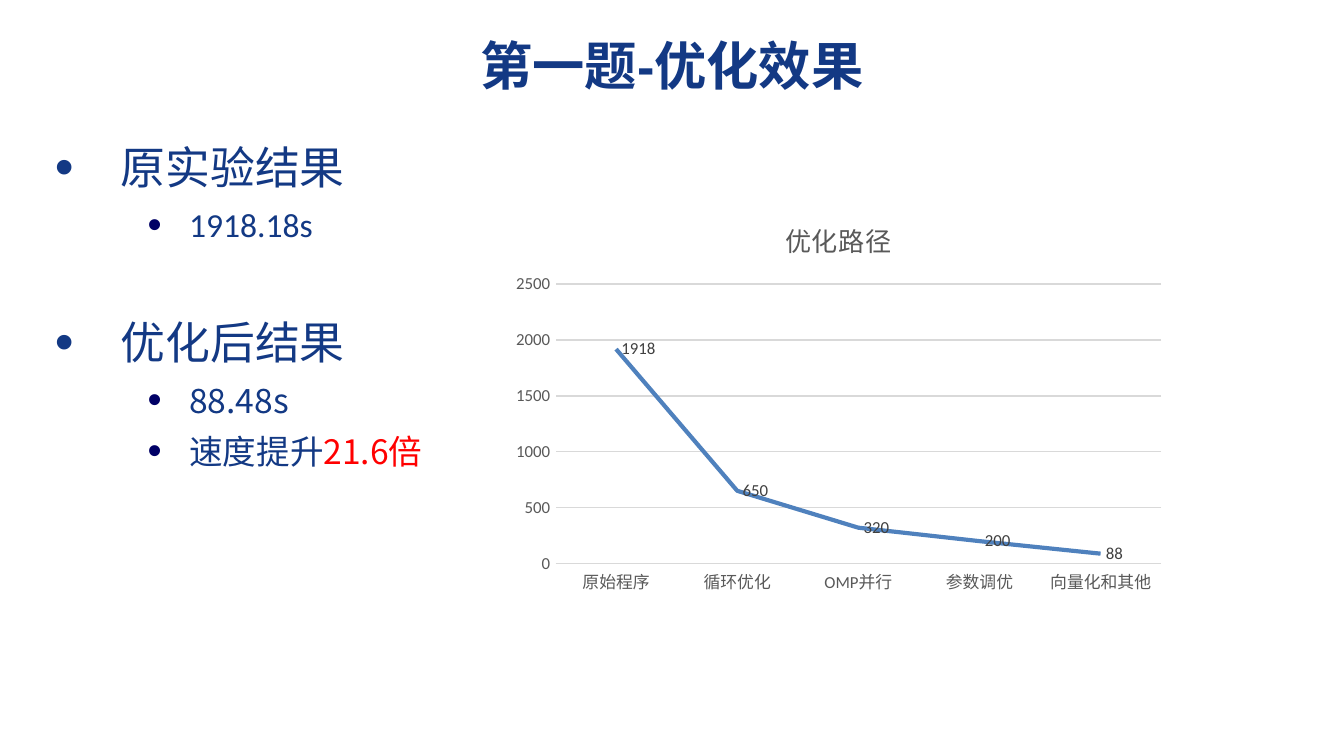
from pptx import Presentation
from pptx.chart.data import CategoryChartData as ChartData
from pptx.dml.color import RGBColor
from pptx.enum.chart import XL_CHART_TYPE as ChartType
from pptx.enum.chart import XL_LABEL_POSITION as LabelPos
from pptx.enum.chart import XL_TICK_MARK as Tick
from pptx.enum.text import PP_ALIGN as Align
from pptx.oxml.ns import qn
from pptx.util import Inches, Pt
from lxml.etree import SubElement

NAVY = RGBColor(0x13, 0x39, 0x84)
BULLET_NAVY = RGBColor(0x00, 0x00, 0x66)
RED = RGBColor(0xFF, 0x00, 0x00)
LINE_BLUE = RGBColor(0x4F, 0x81, 0xBD)
GRID_GREY = RGBColor(0xD9, 0xD9, 0xD9)
AXIS_GREY = RGBColor(0x59, 0x59, 0x59)
LABEL_GREY = RGBColor(0x40, 0x40, 0x40)
BLACK = RGBColor(0, 0, 0)
CJK, LATIN = "Noto Sans CJK SC", "Calibri"


def style(font, size, color, name=LATIN, bold=False):
    """Set the size, colour, face and weight of a font."""
    font.size, font.name, font.bold = Pt(size), name, bold
    font.color.rgb = color


def add_text(paragraph, text, size=18, color=NAVY, name=CJK, bold=False):
    """Add one formatted run, with a CJK face for Chinese glyphs."""
    run = paragraph.add_run()
    run.text = text
    style(run.font, size, color, name, bold)
    SubElement(run._r.get_or_add_rPr(), qn("a:ea"), typeface=CJK)


def add_bullet(paragraph, margin, indent, color):
    """Give a paragraph a round bullet and a hanging indent."""
    props = paragraph._p.get_or_add_pPr()
    props.set("marL", str(Inches(margin)))
    props.set("indent", str(Inches(indent)))
    fill = SubElement(props, qn("a:buClr"))
    SubElement(fill, qn("a:srgbClr"), val=str(color))
    SubElement(props, qn("a:buSzPct"), val="120000")
    SubElement(props, qn("a:buFont"), typeface="Arial")
    SubElement(props, qn("a:buChar"), char="•")


def add_title(slide, left, top, width, height):
    """Place the centred slide heading."""
    frame = slide.shapes.add_textbox(left, top, width, height).text_frame
    frame.word_wrap = True
    frame.margin_top = Inches(0.05)
    heading = frame.paragraphs[0]
    heading.alignment = Align.CENTER
    add_text(heading, "第一题-优化效果", size=28, name="Arial", bold=True)


def add_results(slide, left, top, width, height):
    """Place the two-level list of timing results."""
    frame = slide.shapes.add_textbox(left, top, width, height).text_frame
    frame.word_wrap = True
    results = [
        (0, 4.8, [("原实验结果", {"size": 24})]),
        (1, 3.6, [("1918.18s", {"name": LATIN})]),
        (0, 35, [("优化后结果", {"size": 24})]),
        (1, 3.6, [("88.48s", {})]),
        (1, 3.6, [("速度提升", {}), ("21.6倍", {"color": RED})]),
    ]
    bullets = [(0.49, -0.49, NAVY), (1, -0.31, BULLET_NAVY)]
    for index, (level, gap, parts) in enumerate(results):
        item = frame.add_paragraph() if index else frame.paragraphs[0]
        item.level = level
        item.line_spacing = 1.1
        item.space_before = Pt(gap)
        add_bullet(item, *bullets[level])
        for text, look in parts:
            add_text(item, text, **look)


def style_axis(axis):
    """Apply the tick and label look shared by both axes."""
    axis.major_tick_mark = axis.minor_tick_mark = Tick.NONE
    style(axis.tick_labels.font, 9, AXIS_GREY)


def add_path_chart(slide, left, top, width, height):
    """Place the line chart of run time after each optimisation."""
    data = ChartData()
    data.categories = ["原始程序", "循环优化", "OMP并行", "参数调优", "向量化和其他"]
    data.add_series("Series 1", (1918, 650, 320, 200, 88))
    chart = slide.shapes.add_chart(
        ChartType.LINE, left, top, width, height, data).chart
    style(chart.font, 10, BLACK)
    chart.has_legend = False
    chart.has_title = True
    add_text(chart.chart_title.text_frame.paragraphs[0], "优化路径",
             size=14, color=AXIS_GREY, name=LATIN)
    chart.chart_title.include_in_layout = False

    steps, seconds = chart.category_axis, chart.value_axis
    style_axis(steps)
    style_axis(seconds)
    steps.format.line.color.rgb = GRID_GREY
    steps.format.line.width = Pt(0.75)
    seconds.format.line.fill.background()
    seconds.minimum_scale, seconds.maximum_scale = 0, 2500
    seconds.major_unit = 500
    grid = seconds.major_gridlines.format.line
    grid.color.rgb, grid.width = GRID_GREY, Pt(0.75)

    plot = chart.plots[0]
    plot.vary_by_categories = False
    times = plot.series[0]
    times.smooth = False
    times.format.line.color.rgb = LINE_BLUE
    times.format.line.width = Pt(2.25)
    labels = times.data_labels
    labels.show_value = True
    labels.position = LabelPos.RIGHT
    style(labels.font, 9, LABEL_GREY)


def main():
    """Build the 16:9 slide and save it."""
    deck = Presentation()
    deck.slide_width = Inches(10)
    deck.slide_height = deck.slide_width * 9 // 16
    slide = deck.slides.add_slide(deck.slide_layouts[6])
    add_results(slide, Inches(0.31), Inches(0.95), Inches(9.57), Inches(4.24))
    add_title(slide, Inches(0), Inches(0.2), Inches(10), Inches(0.75))
    add_path_chart(slide, Inches(3.74), Inches(1.47), Inches(5), Inches(3))
    deck.save("out.pptx")


main()
